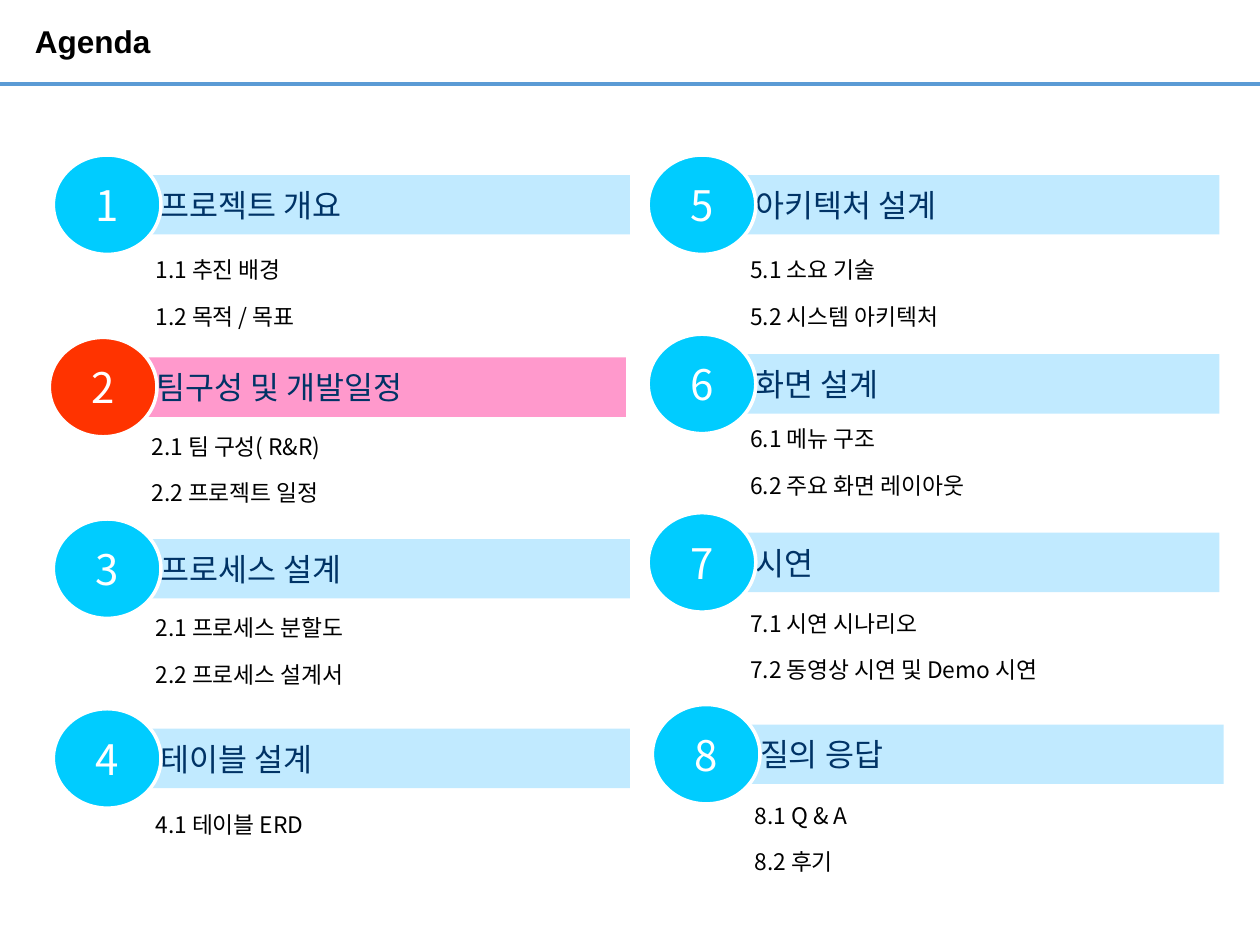
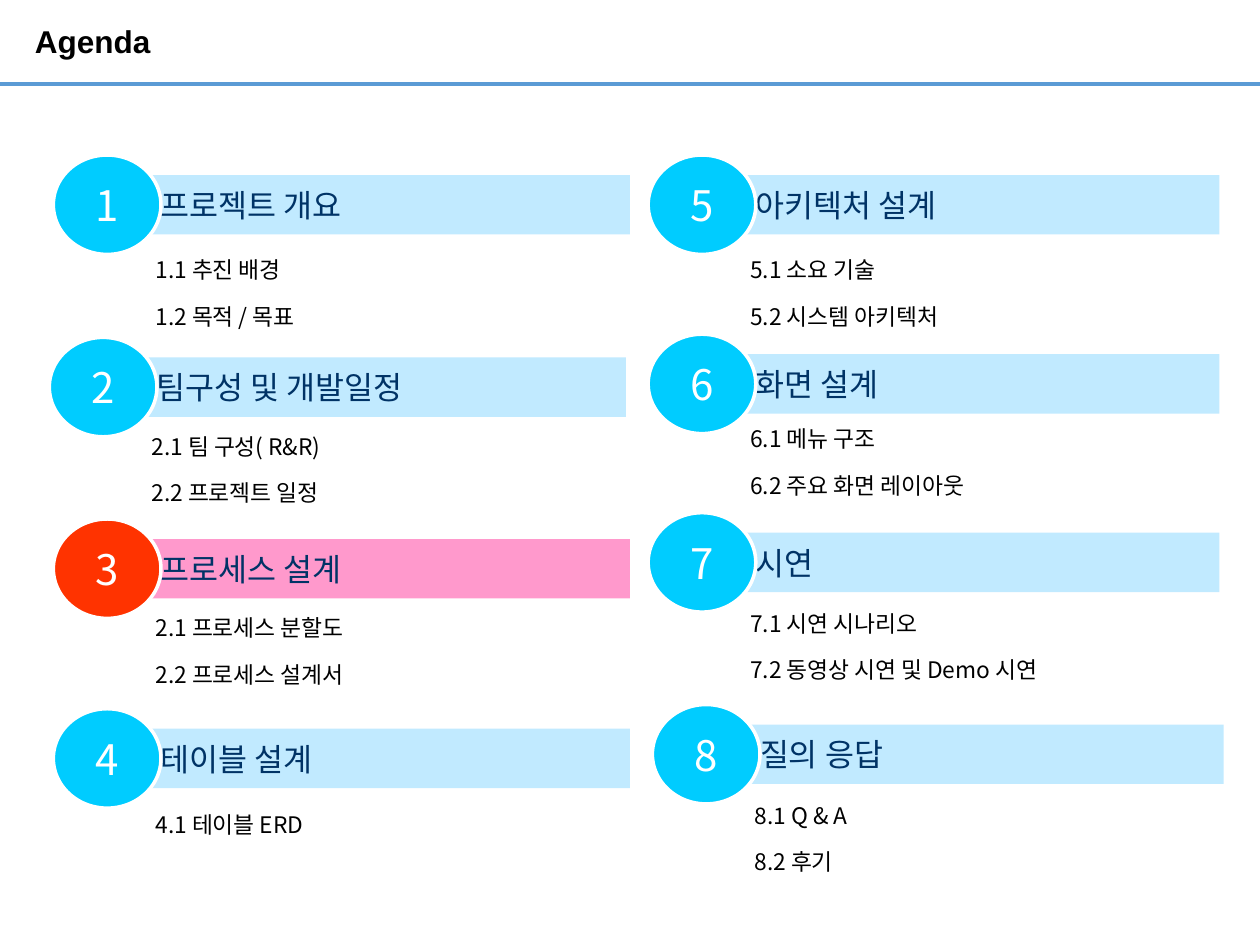
from pptx import Presentation
from pptx.util import Pt
from pptx.dml.color import RGBColor
from pptx.enum.shapes import MSO_SHAPE as SHAPE, MSO_CONNECTOR as CONN
from pptx.enum.text import MSO_ANCHOR as ANCHOR, PP_ALIGN as ALIGN
from pptx.oxml.ns import qn
from lxml.etree import SubElement

KOREAN = "Noto Sans CJK KR"
BAR, DISC = "C1EAFF", "00CCFF"
BAR_ON, DISC_ON = "FF99CC", "FF3300"

SECTIONS = [
    (1, "프로젝트 개요", 30.5, 88.6, 139.7, ["1.1 추진 배경", "1.2 목적 / 목표"]),
    (2, "팀구성 및 개발일정", 28.2, 192.8, 240.5, ["2.1 팀 구성( R&R)", "2.2 프로젝트 일정"]),
    (3, "프로세스 설계", 30.5, 296.6, 344.2, ["2.1 프로세스 분할도", "2.2 프로세스 설계서"]),
    (4, "테이블 설계", 30.5, 405, 456.5, ["4.1 테이블 ERD"]),
    (5, "아키텍처 설계", 370.4, 88.6, 139.7, ["5.1 소요 기술", "5.2 시스템 아키텍처"]),
    (6, "화면 설계", 370.4, 191, 236.2, ["6.1 메뉴 구조", "6.2 주요 화면 레이아웃"]),
    (7, "시연", 370.4, 293, 341.5, ["7.1 시연 시나리오", "7.2 동영상 시연 및 Demo 시연"]),
    (8, "질의 응답", 372.8, 402.6, 451.4, ["8.1 Q & A", "8.2 후기"]),
]


def rgb(value):
    return RGBColor.from_string(value)


def add_run(p, text, size, color, font=KOREAN, bold=False):
    r = p.add_run()
    r.text = text
    r.font.size = Pt(size)
    r.font.bold = bold
    r.font.name = font
    r.font.color.rgb = rgb(color)
    SubElement(r.font._element, qn("a:ea"), typeface=font)


prs = Presentation()
prs.slide_width, prs.slide_height = Pt(720), Pt(540)

for active in (2, 3):
    s = prs.slides.add_slide(prs.slide_layouts[6])

    rule = s.shapes.add_connector(CONN.STRAIGHT, Pt(0), Pt(48), Pt(720), Pt(48))
    rule.line.color.rgb = rgb("5B9BD5")
    rule.line.width = Pt(2.25)
    SubElement(rule._element.spPr, qn("a:effectLst"))

    tf = s.shapes.add_textbox(Pt(20), Pt(0), Pt(471), Pt(49)).text_frame
    tf.word_wrap = True
    tf.vertical_anchor = ANCHOR.MIDDLE
    tf.margin_left = tf.margin_right = tf.margin_top = tf.margin_bottom = 0
    p = tf.paragraphs[0]
    p.line_spacing = 0.9
    add_run(p, "Agenda", 18, "000000", "Arial", True)

    for number, heading, x, y, items_y, items in SECTIONS:
        on = number == active
        bar_w = 304.5 if number < 5 else 301.5

        bar = s.shapes.add_shape(SHAPE.RECTANGLE, Pt(x + 25), Pt(y + 11.4), Pt(bar_w), Pt(34))
        bar.fill.solid()
        bar.fill.fore_color.rgb = rgb(BAR_ON if on else BAR)
        bar.line.fill.background()
        disc = s.shapes.add_shape(SHAPE.OVAL, Pt(x), Pt(y), Pt(61.5), Pt(56.8))
        disc.fill.solid()
        disc.fill.fore_color.rgb = rgb(DISC_ON if on else DISC)
        disc.line.color.rgb = rgb("FFFFFF")
        disc.line.width = Pt(2)

        for sp, text, size, color, align in (
            (bar, heading, 18, "003366", ALIGN.LEFT),
            (disc, str(number), 24, "FFFFFF", ALIGN.CENTER),
        ):
            sp.shadow.inherit = False
            tf = sp.text_frame
            tf.word_wrap = False
            tf.vertical_anchor = ANCHOR.MIDDLE
            tf.paragraphs[0].alignment = align
            add_run(tf.paragraphs[0], text, size, color)
        bar.text_frame.margin_left = Pt(36.5)

        tf = s.shapes.add_textbox(Pt(x + 57), Pt(items_y), Pt(270), Pt(27 * len(items))).text_frame
        tf.word_wrap = True
        tf.margin_left = tf.margin_right = Pt(1.4)
        for i, item in enumerate(items):
            p = tf.add_paragraph() if i else tf.paragraphs[0]
            p.alignment = ALIGN.JUSTIFY
            p.line_spacing = 1.2
            before = SubElement(p._p.get_or_add_pPr(), qn("a:spcBef"))
            SubElement(before, qn("a:spcPct"), val="60000")
            add_run(p, item, 13, "000000")

prs.save("out.pptx")
